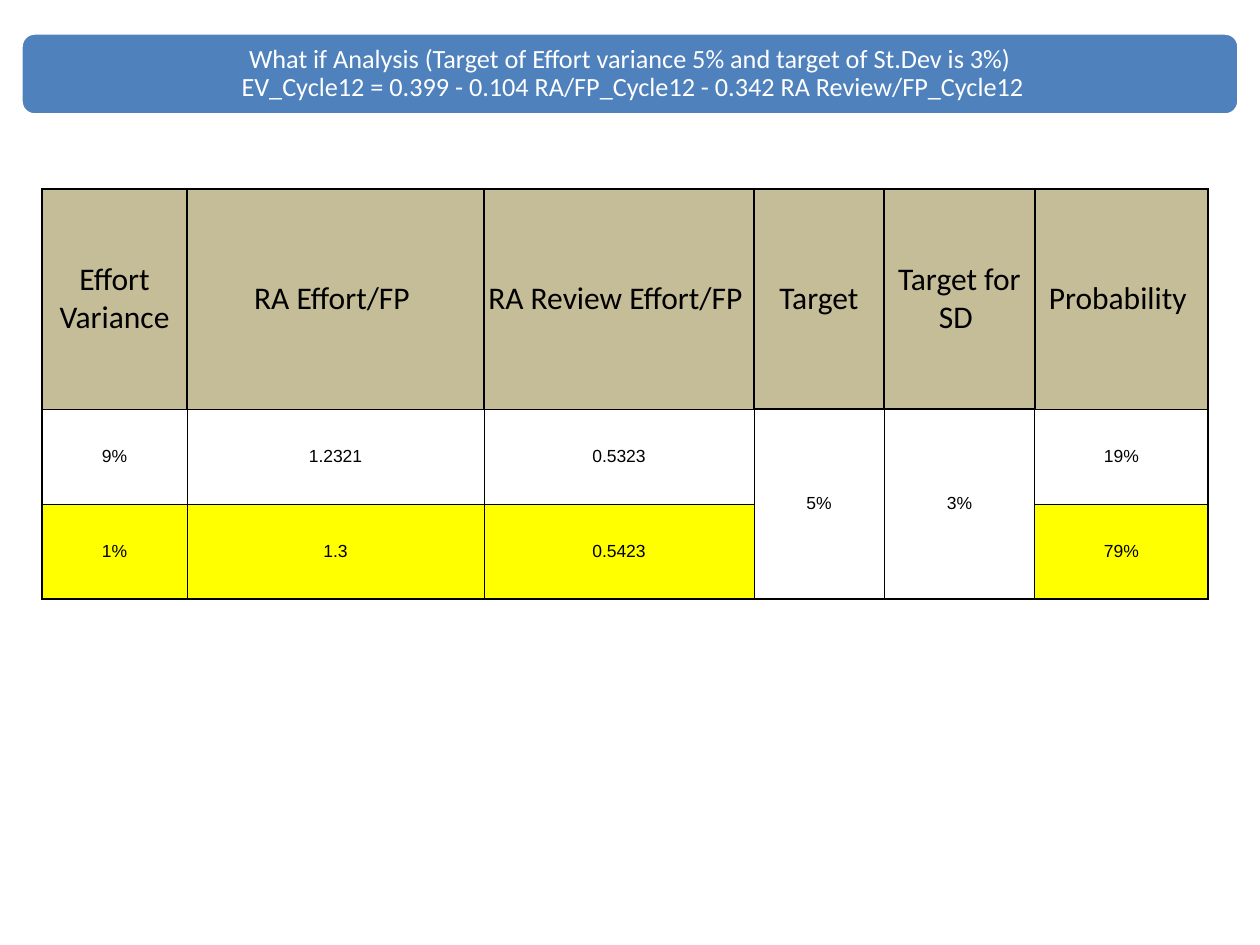
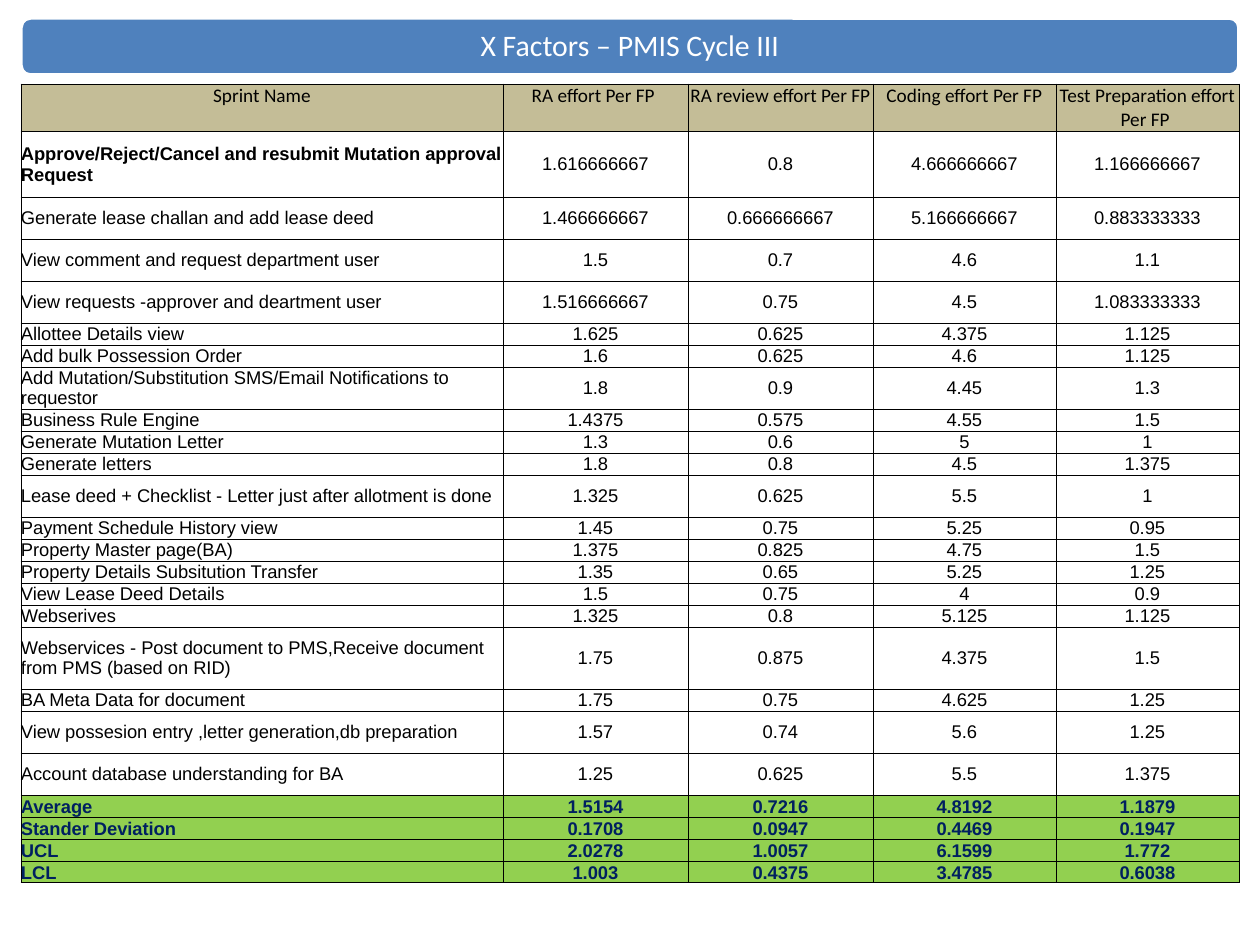
import pptx
import pptx.dml.color
import pptx.enum.shapes
import pptx.enum.text
import pptx.oxml.ns
import pptx.util
from lxml import etree

RGBColor = pptx.dml.color.RGBColor
ALIGN = pptx.enum.text.PP_ALIGN
ANCHOR = pptx.enum.text.MSO_ANCHOR

# Shared look
PX_PER_INCH = 126
BLUE = RGBColor(0x4F, 0x81, 0xBD)
WHITE = RGBColor(0xFF, 0xFF, 0xFF)
BLACK = RGBColor(0x00, 0x00, 0x00)
TAN = RGBColor(0xC4, 0xBD, 0x97)
YELLOW = RGBColor(0xFF, 0xFF, 0x00)
GREEN = RGBColor(0x92, 0xD0, 0x50)
NAVY = RGBColor(0x00, 0x20, 0x60)
HEADING_FONT, BODY_FONT = "Calibri", "Arial"
BANNER_LEFT, BANNER_WIDTH = 21, 1218
THIN, THICK = 0.5, 1

# What-if analysis
WHAT_IF_TITLE = ("What if Analysis (Target of Effort variance 5% and target of St.Dev is 3%)\n"
                 " EV_Cycle12 = 0.399 - 0.104 RA/FP_Cycle12 - 0.342 RA Review/FP_Cycle12")
WHAT_IF_COLUMNS = [145, 297, 270, 130, 151, 173]
WHAT_IF_HEIGHTS = [220, 95, 95]
TARGET_COLUMNS = (3, 4)
WHAT_IF_ROWS = [
    ("Effort Variance", "RA Effort/FP ", "RA Review Effort/FP ", "Target", "Target for SD ",
     "Probability "),
    ("9%", "1.2321", "0.5323", "5%", "3%", "19%"),
    ("1%", "1.3", "0.5423", "", "", "79%"),
]

# Sprint factors: row height, sprint name, four efforts per FP
FACTOR_COLUMNS = [482, 185, 185, 183, 183]
SUMMARY_COUNT = 4
FACTOR_ROWS = [
    (47, "Sprint Name", "RA effort Per FP ", "RA review effort Per FP", "Coding effort Per FP",
     "Test Preparation effort Per FP "),
    (66, "Approve/Reject/Cancel and resubmit Mutation approval Request",
     "1.616666667", "0.8", "4.666666667", "1.166666667"),
    (42, "Generate lease challan and add lease deed",
     "1.466666667", "0.666666667", "5.166666667", "0.883333333"),
    (42, "View comment and request department user", "1.5", "0.7", "4.6", "1.1"),
    (42, "View requests -approver and deartment user",
     "1.516666667", "0.75", "4.5", "1.083333333"),
    (22, "Allottee Details view", "1.625", "0.625", "4.375", "1.125"),
    (22, "Add bulk Possession Order", "1.6", "0.625", "4.6", "1.125"),
    (42, "Add Mutation/Substitution SMS/Email Notifications to requestor",
     "1.8", "0.9", "4.45", "1.3"),
    (22, "Business Rule Engine", "1.4375", "0.575", "4.55", "1.5"),
    (22, "Generate Mutation Letter", "1.3", "0.6", "5", "1"),
    (22, "Generate letters", "1.8", "0.8", "4.5", "1.375"),
    (42, "Lease deed + Checklist - Letter just after allotment is done",
     "1.325", "0.625", "5.5", "1"),
    (22, "Payment Schedule History view", "1.45", "0.75", "5.25", "0.95"),
    (22, "Property Master page(BA)", "1.375", "0.825", "4.75", "1.5"),
    (22, "Property Details Subsitution Transfer", "1.35", "0.65", "5.25", "1.25"),
    (22, "View Lease Deed Details", "1.5", "0.75", "4", "0.9"),
    (22, "Webserives", "1.325", "0.8", "5.125", "1.125"),
    (62, "Webservices - Post document to PMS,Receive document from PMS (based on RID)",
     "1.75", "0.875", "4.375", "1.5"),
    (22, "BA Meta Data for document", "1.75", "0.75", "4.625", "1.25"),
    (42, "View possesion entry ,letter generation,db preparation",
     "1.57", "0.74", "5.6", "1.25"),
    (42, "Account database understanding for BA", "1.25", "0.625", "5.5", "1.375"),
    (22, "Average", "1.5154", "0.7216", "4.8192", "1.1879"),
    (22, "Stander Deviation", "0.1708", "0.0947", "0.4469", "0.1947"),
    (22, "UCL", "2.0278", "1.0057", "6.1599", "1.772"),
    (22, "LCL", "1.003", "0.4375", "3.4785", "0.6038"),
]


def px(length):
    return pptx.util.Emu(round(length * 914400 / PX_PER_INCH))


def write_text(frame, text, *, size, font=BODY_FONT, color=BLACK, bold=False,
               align=ALIGN.CENTER, line_spacing=None):
    paragraph = frame.paragraphs[0]
    paragraph.alignment = align
    paragraph.line_spacing = line_spacing
    for index, line in enumerate(text.split("\n")):
        if index:
            paragraph.add_line_break()
        run = paragraph.add_run()
        run.text = line
        run.font.name = font
        run.font.size = pptx.util.Pt(size)
        run.font.bold = bold
        run.font.color.rgb = color


def add_banner(slide, top, height, text, size):
    banner = slide.shapes.add_shape(
        pptx.enum.shapes.MSO_SHAPE.ROUNDED_RECTANGLE,
        px(BANNER_LEFT), px(top), px(BANNER_WIDTH), px(height))
    banner.shadow.inherit = False
    banner.fill.solid()
    banner.fill.fore_color.rgb = BLUE
    banner.line.color.rgb = WHITE
    banner.line.width = pptx.util.Pt(2)
    frame = banner.text_frame
    frame.word_wrap = True
    frame.vertical_anchor = ANCHOR.MIDDLE
    frame.margin_left = frame.margin_right = px(8)
    frame.margin_top = frame.margin_bottom = px(8)
    write_text(frame, text, size=size, font=HEADING_FONT, color=WHITE, line_spacing=0.9)


def add_grid(slide, left, top, column_widths, row_heights):
    table = slide.shapes.add_table(
        len(row_heights), len(column_widths), px(left), px(top),
        px(sum(column_widths)), px(sum(row_heights))).table
    table.first_row = table.horz_banding = False
    for column, width in zip(table.columns, column_widths):
        column.width = px(width)
    for row, height in zip(table.rows, row_heights):
        row.height = px(height)
    return table


def set_borders(cell, left=THIN, right=THIN, top=THIN, bottom=THIN):
    qn = pptx.oxml.ns.qn
    properties = cell._tc.get_or_add_tcPr()
    for side, points in zip("LRTB", (left, right, top, bottom)):
        line = etree.SubElement(properties, qn(f"a:ln{side}"), w=str(pptx.util.Pt(points)))
        fill = etree.SubElement(line, qn("a:solidFill"))
        etree.SubElement(fill, qn("a:srgbClr"), val=str(BLACK))


def format_cell(cell, text, fill=None, anchor=ANCHOR.MIDDLE, borders=None, **text_format):
    set_borders(cell, **(borders or {}))
    if fill is None:
        cell.fill.background()
    else:
        cell.fill.solid()
        cell.fill.fore_color.rgb = fill
    cell.margin_left = cell.margin_right = cell.margin_top = cell.margin_bottom = 0
    cell.vertical_anchor = anchor
    if text:
        write_text(cell.text_frame, text, **text_format)


def what_if_borders(row, column):
    header, last_row = row == 0, row == len(WHAT_IF_ROWS) - 1
    target = column in TARGET_COLUMNS
    thick = {
        "left": header or column == 0,
        "right": header or column == len(WHAT_IF_COLUMNS) - 1,
        "top": header or target,
        "bottom": last_row or target,
    }
    return {side: THICK if is_thick else THIN for side, is_thick in thick.items()}


def build_what_if_slide(slide):
    add_banner(slide, 33, 82, WHAT_IF_TITLE, 15)
    table = add_grid(slide, 42, 189, WHAT_IF_COLUMNS, WHAT_IF_HEIGHTS)
    for column in TARGET_COLUMNS:
        table.cell(1, column).merge(table.cell(2, column))
    row_fills = [TAN, None, YELLOW]
    for row, texts in enumerate(WHAT_IF_ROWS):
        text_format = {"size": 10} if row else {"size": 18, "font": HEADING_FONT}
        for column, text in enumerate(texts):
            fill = None if row and column in TARGET_COLUMNS else row_fills[row]
            format_cell(table.cell(row, column), text, fill,
                        borders=what_if_borders(row, column), **text_format)


def factor_format(row, column):
    if row == 0:
        return {"fill": TAN, "anchor": ANCHOR.TOP, "size": 11, "font": HEADING_FONT}
    cell_format = {"size": 10.5, "align": ALIGN.CENTER if column else ALIGN.LEFT}
    if row >= len(FACTOR_ROWS) - SUMMARY_COUNT:
        cell_format.update(fill=GREEN, anchor=ANCHOR.BOTTOM, color=NAVY, bold=True)
    elif (row, column) == (1, 0):
        cell_format["bold"] = True
    return cell_format


def build_factors_slide(slide):
    add_banner(slide, 18, 57, "X Factors – PMIS Cycle III", 17)
    heights = [height for height, *_ in FACTOR_ROWS]
    table = add_grid(slide, BANNER_LEFT, 84, FACTOR_COLUMNS, heights)
    for row, (_, *texts) in enumerate(FACTOR_ROWS):
        for column, text in enumerate(texts):
            format_cell(table.cell(row, column), text, **factor_format(row, column))


def main():
    presentation = pptx.Presentation()
    presentation.slide_width, presentation.slide_height = px(1260), px(945)
    blank = presentation.slide_layouts[6]
    for build_slide in (build_what_if_slide, build_factors_slide):
        build_slide(presentation.slides.add_slide(blank))
    presentation.save("out.pptx")


if __name__ == "__main__":
    main()
